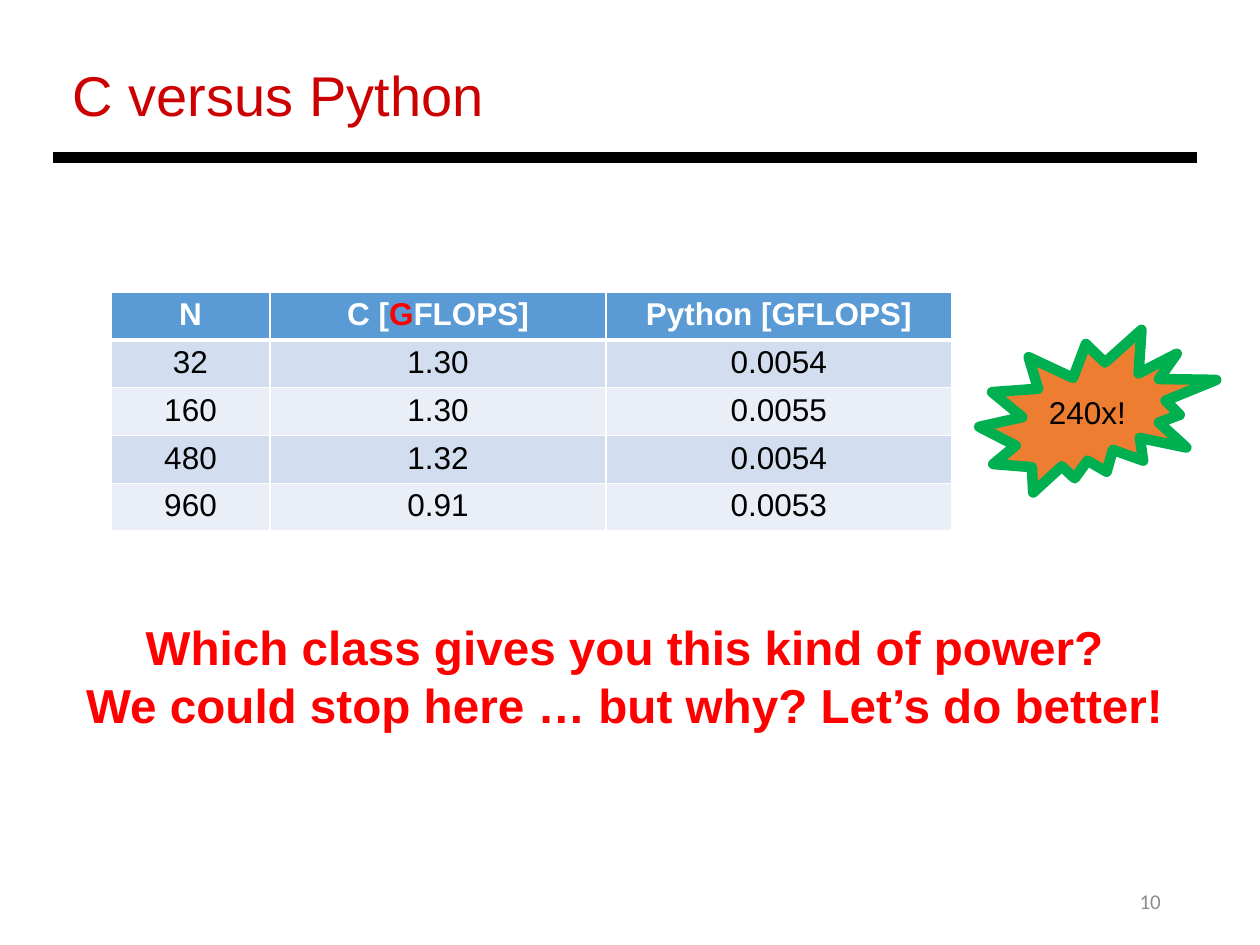
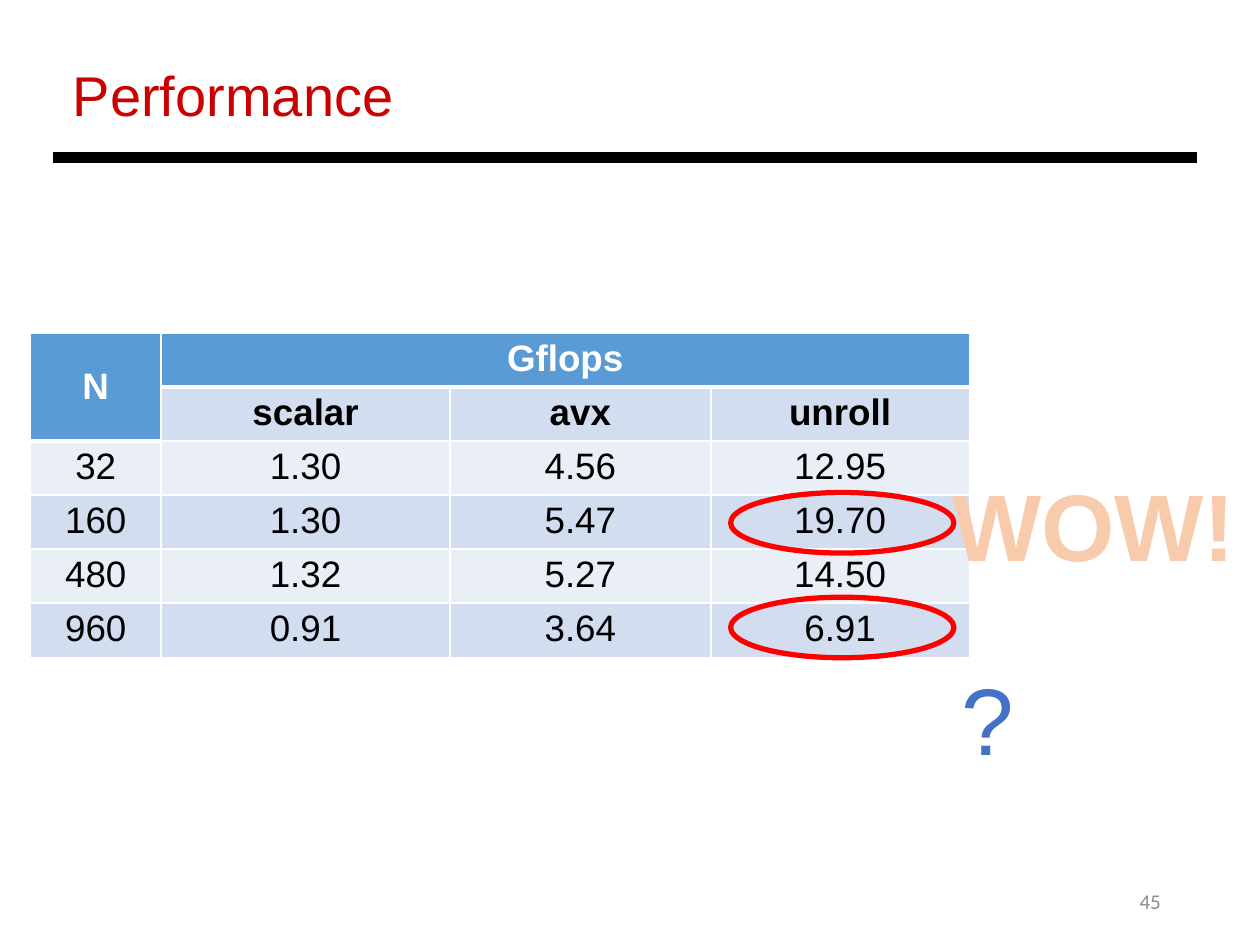
from lxml import etree
from pptx import Presentation
from pptx.dml.color import RGBColor
from pptx.enum.shapes import MSO_CONNECTOR, MSO_SHAPE
from pptx.enum.text import MSO_ANCHOR, PP_ALIGN
from pptx.oxml.ns import qn
from pptx.util import Cm, Pt

LEFT, CENTER, RIGHT = PP_ALIGN.LEFT, PP_ALIGN.CENTER, PP_ALIGN.RIGHT
TOP, MIDDLE = MSO_ANCHOR.TOP, MSO_ANCHOR.MIDDLE
STRAIGHT = MSO_CONNECTOR.STRAIGHT
OVAL, BURST = MSO_SHAPE.OVAL, MSO_SHAPE.EXPLOSION2

COLORS = {
    "title": "CC0000", "text": "000000", "white": "FFFFFF", "number": "8C8C8C",
    "red": "FF0000", "header": "5B9BD5", "band_dark": "D2DEEF", "band_light": "EAEFF7",
    "orange": "ED7D31", "green": "00B050", "blue": "4472C4", "peach": "F8CBAD",
}

COMPARISON = {
    "left": 2.24, "top": 5.89, "columns": [3.2, 6.78, 6.96], "row_height": 0.95, "size": 18,
    "rows": [
        ["N", [("C [", "white"), ("G", "red"), ("FLOPS]", "white")], "Python [GFLOPS]"],
        ["32", "1.30", "0.0054"],
        ["160", "1.30", "0.0055"],
        ["480", "1.32", "0.0054"],
        ["960", "0.91", "0.0053"],
    ],
    "merges": [], "header_cells": set(), "bold_rows": {0},
}
SPEEDS = {
    "left": 0.61, "top": 6.71, "columns": [2.64, 5.82, 5.26, 5.21], "row_height": 1.08, "size": 21,
    "rows": [
        ["N", "Gflops", "", ""],
        ["", "scalar", "avx", "unroll"],
        ["32", "1.30", "4.56", "12.95"],
        ["160", "1.30", "5.47", "19.70"],
        ["480", "1.32", "5.27", "14.50"],
        ["960", "0.91", "3.64", "6.91"],
    ],
    "merges": [((0, 0), (1, 0)), ((0, 1), (0, 3))], "header_cells": {(1, 0)}, "bold_rows": {0, 1},
}
MESSAGE = [
    "Which class gives you this kind of power?",
    "We could stop here … but why? Let’s do better!",
]
CIRCLE_TOPS = [9.93, 12.04]


def rgb(name):
    return RGBColor.from_string(COLORS[name])


def style_font(font, size, color, bold=False, name="Arial"):
    font.name, font.size, font.bold = name, Pt(size), bold
    font.color.rgb = rgb(color)


def add_text(slide, box, lines, size, color, bold=False, name="Arial",
             align=LEFT, anchor=TOP, wrap=True):
    frame = slide.shapes.add_textbox(*map(Cm, box)).text_frame
    frame.word_wrap, frame.vertical_anchor = wrap, anchor
    frame.text = "\n".join(lines)
    for paragraph in frame.paragraphs:
        paragraph.alignment = align
        style_font(paragraph.font, size, color, bold, name)
    return frame


def add_outlined(slide, kind, box, line, width, fill=None):
    shape = slide.shapes.add_shape(kind, *map(Cm, box))
    shape.shadow.inherit = False
    shape.line.color.rgb, shape.line.width = rgb(line), Pt(width)
    if fill:
        shape.fill.solid()
        shape.fill.fore_color.rgb = rgb(fill)
    else:
        shape.fill.background()


def add_outline(parent, tag, width, color):
    line = etree.SubElement(parent, qn(tag), w=str(Pt(width)))
    fill = etree.SubElement(line, qn("a:solidFill"))
    etree.SubElement(fill, qn("a:srgbClr"), val=COLORS[color])
    return line


def fill_cell(cell, content, size, is_header, bold, band):
    cell.margin_top = cell.margin_bottom = Cm(0.1)
    properties = cell._tc.get_or_add_tcPr()
    for tag, width in (("a:lnL", 1), ("a:lnR", 1), ("a:lnB", 3 if is_header else 1)):
        add_outline(properties, tag, width, "white")
    cell.fill.solid()
    cell.fill.fore_color.rgb = rgb("header" if is_header else band)
    paragraph = cell.text_frame.paragraphs[0]
    paragraph.alignment = CENTER
    if isinstance(content, str):
        content = [(content, "white" if is_header else "text")] if content else []
    for text, color in content:
        run = paragraph.add_run()
        run.text = text
        style_font(run.font, size, color, bold)


def add_data_table(slide, data):
    rows, columns = data["rows"], data["columns"]
    height = data["row_height"]
    table = slide.shapes.add_table(
        len(rows), len(columns), Cm(data["left"]), Cm(data["top"]),
        Cm(sum(columns)), Cm(height * len(rows))).table
    for column, width in zip(table.columns, columns):
        column.width = Cm(width)
    for row_index, values in enumerate(rows):
        table.rows[row_index].height = Cm(height)
        band = "band_dark" if row_index % 2 else "band_light"
        for column_index, content in enumerate(values):
            is_header = row_index == 0 or (row_index, column_index) in data["header_cells"]
            fill_cell(table.cell(row_index, column_index), content, data["size"],
                      is_header, row_index in data["bold_rows"], band)
    for first, last in data["merges"]:
        table.cell(*first).merge(table.cell(*last))
        if last[0] > first[0]:
            table.cell(*first).vertical_anchor = MIDDLE


def add_base_slide(presentation, title, number):
    slide = presentation.slides.add_slide(presentation.slide_layouts[6])
    add_text(slide, (17.93, 17.65, 5.72, 1.02), [number], 12, "number",
             name="Calibri", align=RIGHT, anchor=MIDDLE)
    add_text(slide, (1.22, 1.09, 19.56, 1.63), [title], 32, "title")
    rule = slide.shapes.add_connector(STRAIGHT, Cm(1.07), Cm(3.18), Cm(24.13), Cm(3.18))
    rule.line.color.rgb, rule.line.width = rgb("text"), Pt(6)
    etree.SubElement(rule._element.spPr, qn("a:effectLst"))
    return slide


def build_comparison(presentation):
    slide = add_base_slide(presentation, "C versus Python", "10")
    add_data_table(slide, COMPARISON)
    message = add_text(slide, (0.61, 12.65, 23.98, 2.31), MESSAGE, 27.2, "red",
                       bold=True, align=CENTER)
    for paragraph in message.paragraphs:
        paragraph.line_spacing, paragraph.space_before = 0.7, Pt(10)
    add_outlined(slide, BURST, (19.74, 6.65, 4.78, 3.28), "green", 6, "orange")
    add_text(slide, (20.88, 7.8, 2.08, 1.02), ["240x!"], 18, "text", align=CENTER, wrap=False)


def build_performance(presentation):
    slide = add_base_slide(presentation, "Performance", "45")
    add_data_table(slide, SPEEDS)
    for top in CIRCLE_TOPS:
        add_outlined(slide, OVAL, (14.73, top, 4.5, 1.22), "red", 3)
    add_text(slide, (19.13, 13.21, 1.57, 2.57), ["?"], 54, "blue", align=CENTER, wrap=False)
    wow = add_text(slide, (18.92, 9.3, 6.27, 2.57), ["WOW!"], 54, "peach",
                   bold=True, align=CENTER, wrap=False)
    add_outline(wow.paragraphs[0].runs[0]._r.get_or_add_rPr(), "a:ln", 1.75, "orange")


def main():
    presentation = Presentation()
    presentation.slide_width, presentation.slide_height = Cm(25.4), Cm(19.05)
    build_comparison(presentation)
    build_performance(presentation)
    presentation.save("out.pptx")


if __name__ == "__main__":
    main()
